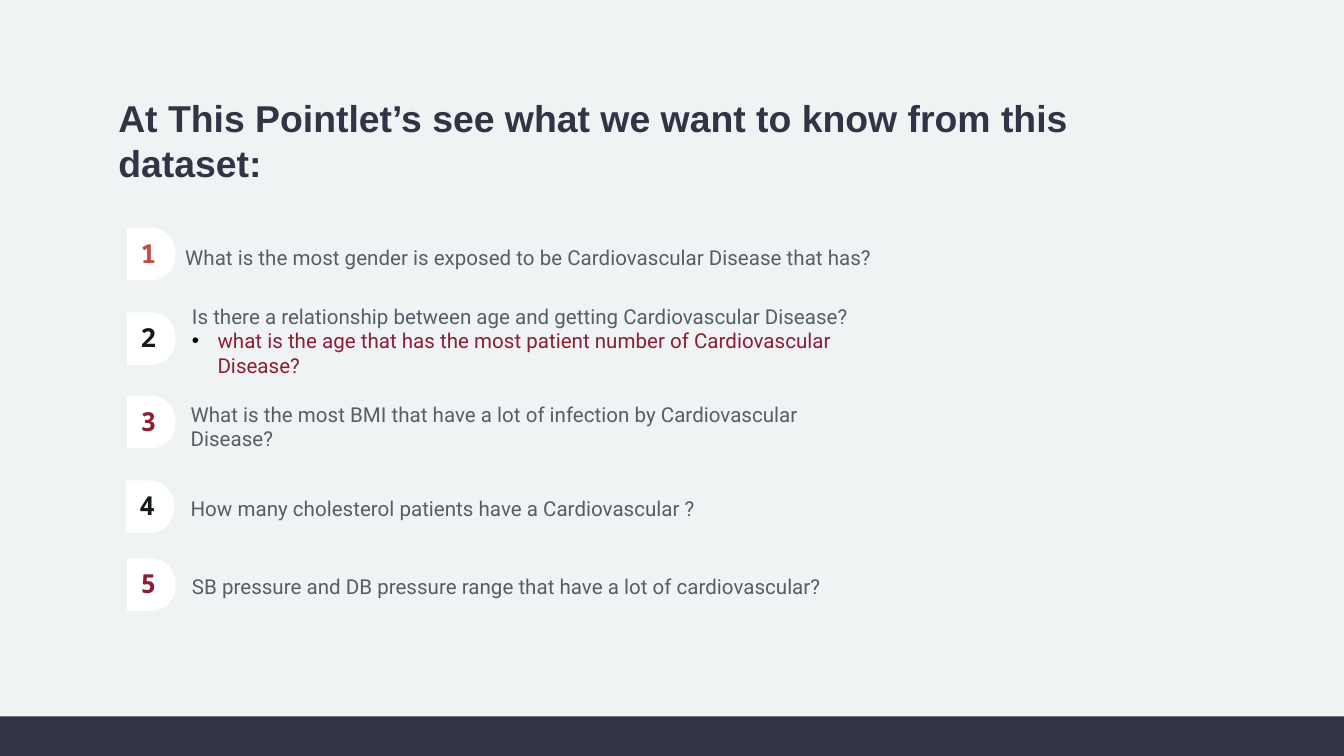
from dataclasses import dataclass

from lxml.etree import SubElement
from pptx import Presentation
from pptx.dml.color import RGBColor
from pptx.enum.shapes import MSO_SHAPE as Shape
from pptx.enum.text import MSO_ANCHOR as Anchor, MSO_AUTO_SIZE as AutoSize, PP_ALIGN as Align
from pptx.oxml.ns import qn
from pptx.util import Inches, Pt

BACKGROUND = RGBColor(0xF0, 0xF3, 0xF4)
NAVY = RGBColor(0x31, 0x34, 0x45)
GREY = RGBColor(0x54, 0x5E, 0x66)
RED = RGBColor(0xC0, 0x4E, 0x48)
BLACK = RGBColor(0x14, 0x1A, 0x1C)
WINE = RGBColor(0x8A, 0x1E, 0x33)
WHITE = RGBColor(0xFF, 0xFF, 0xFF)


@dataclass
class Question:
    number: str
    color: RGBColor
    tab_left: float
    tab_top: float
    text_box: tuple[float, float, float, float]
    text: str
    detail: str = ""


QUESTIONS = [
    Question("1", RED, 0.93, 1.71, (1.28, 1.77, 5.44, 0.29),
             "What is the most gender is exposed to be Cardiovascular Disease that has?"),
    Question("2", BLACK, 0.93, 2.34, (1.33, 2.21, 5.42, 0.66),
             "Is there a relationship between age and getting Cardiovascular Disease?",
             "what is the age that has the most patient number of Cardiovascular Disease?"),
    Question("3", WINE, 0.93, 2.96, (1.32, 2.94, 5, 0.47),
             "What is the most BMI that have a lot of infection by Cardiovascular Disease?"),
    Question("4", BLACK, 0.92, 3.59, (1.32, 3.64, 5, 0.29),
             "How many cholesterol patients have a Cardiovascular ?"),
    Question("5", WINE, 0.93, 4.17, (1.33, 4.22, 5, 0.29),
             "SB pressure and DB pressure range that have a lot of cardiovascular?"),
]


def format_runs(paragraph, font_name: str, size: float, color: RGBColor, bold: bool = False) -> None:
    for run in paragraph.runs:
        run.font.name = font_name
        run.font.size = Pt(size)
        run.font.color.rgb = color
        run.font.bold = bold


def add_bullet(paragraph) -> None:
    properties = paragraph._p.get_or_add_pPr()
    properties.set("marL", str(Inches(0.19)))
    properties.set("indent", str(Inches(-0.19)))
    bullet_color = SubElement(properties, qn("a:buClr"))
    SubElement(bullet_color, qn("a:srgbClr"), val="000000")
    SubElement(properties, qn("a:buFont"), typeface="Arial")
    SubElement(properties, qn("a:buChar"), char="•")


def add_block(slide, kind: Shape, box: tuple[float, float, float, float], color: RGBColor):
    shape = slide.shapes.add_shape(kind, *map(Inches, box))
    shape.shadow.inherit = False
    shape.fill.solid()
    shape.fill.fore_color.rgb = color
    shape.line.fill.background()
    return shape


def add_text_frame(slide, box: tuple[float, float, float, float], text: str):
    text_frame = slide.shapes.add_textbox(*map(Inches, box)).text_frame
    text_frame.word_wrap = True
    text_frame.text = text
    return text_frame


def add_question(slide, question: Question) -> None:
    # Question text with its optional bullet
    text_frame = add_text_frame(slide, question.text_box, question.text)
    format_runs(text_frame.paragraphs[0], "Roboto", 11, GREY)
    if question.detail:
        paragraph = text_frame.add_paragraph()
        paragraph.text = question.detail
        format_runs(paragraph, "Roboto", 11, WINE)
        add_bullet(paragraph)

    # White tab, rounded on the right
    left, top = question.tab_left, question.tab_top
    tab = add_block(slide, Shape.ROUND_2_SAME_RECTANGLE, (left, top, 0.39, 0.36), WHITE)
    tab.adjustments[0] = 0.5
    tab.adjustments[1] = 0
    tab.rotation = 90

    # Number on the tab
    text_frame = add_text_frame(slide, (left - 0.05, top - 0.04, 0.45, 0.42), question.number)
    text_frame.vertical_anchor = Anchor.MIDDLE
    text_frame.margin_top = text_frame.margin_bottom = Inches(0.1)
    text_frame.paragraphs[0].alignment = Align.CENTER
    format_runs(text_frame.paragraphs[0], "Noto Sans Mono", 14, question.color, bold=True)


def add_title(slide, text: str) -> None:
    title = slide.shapes.title
    title.left, title.top, title.width, title.height = map(Inches, (0.78, 0.66, 7.71, 0.77))
    text_frame = title.text_frame
    text_frame.text = text
    text_frame.word_wrap = True
    text_frame.auto_size = AutoSize.NONE
    text_frame.vertical_anchor = Anchor.TOP
    text_frame.paragraphs[0].alignment = Align.LEFT
    format_runs(text_frame.paragraphs[0], "Arial", 20, NAVY, bold=True)


def main() -> None:
    # Widescreen slide, 16 to 9
    presentation = Presentation()
    presentation.slide_width = Inches(10)
    presentation.slide_height = Inches(10) * 9 // 16
    slide = presentation.slides.add_slide(presentation.slide_layouts[5])
    slide.background.fill.solid()
    slide.background.fill.fore_color.rgb = BACKGROUND

    add_title(slide, "At This Pointlet’s see what we want to know from this dataset:")
    for question in QUESTIONS:
        add_question(slide, question)

    # Footer band
    add_block(slide, Shape.RECTANGLE, (0, 5.33, 10, 0.3), NAVY)

    presentation.save("out.pptx")


if __name__ == "__main__":
    main()
